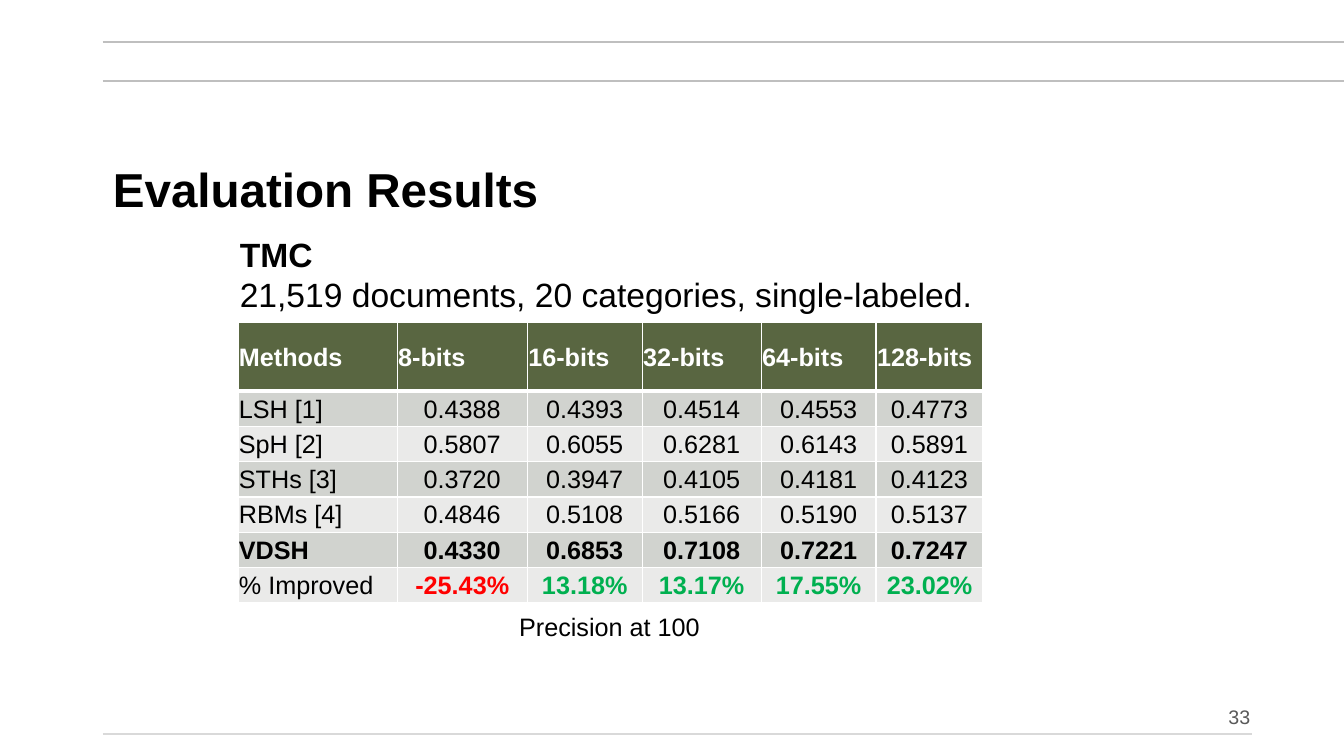
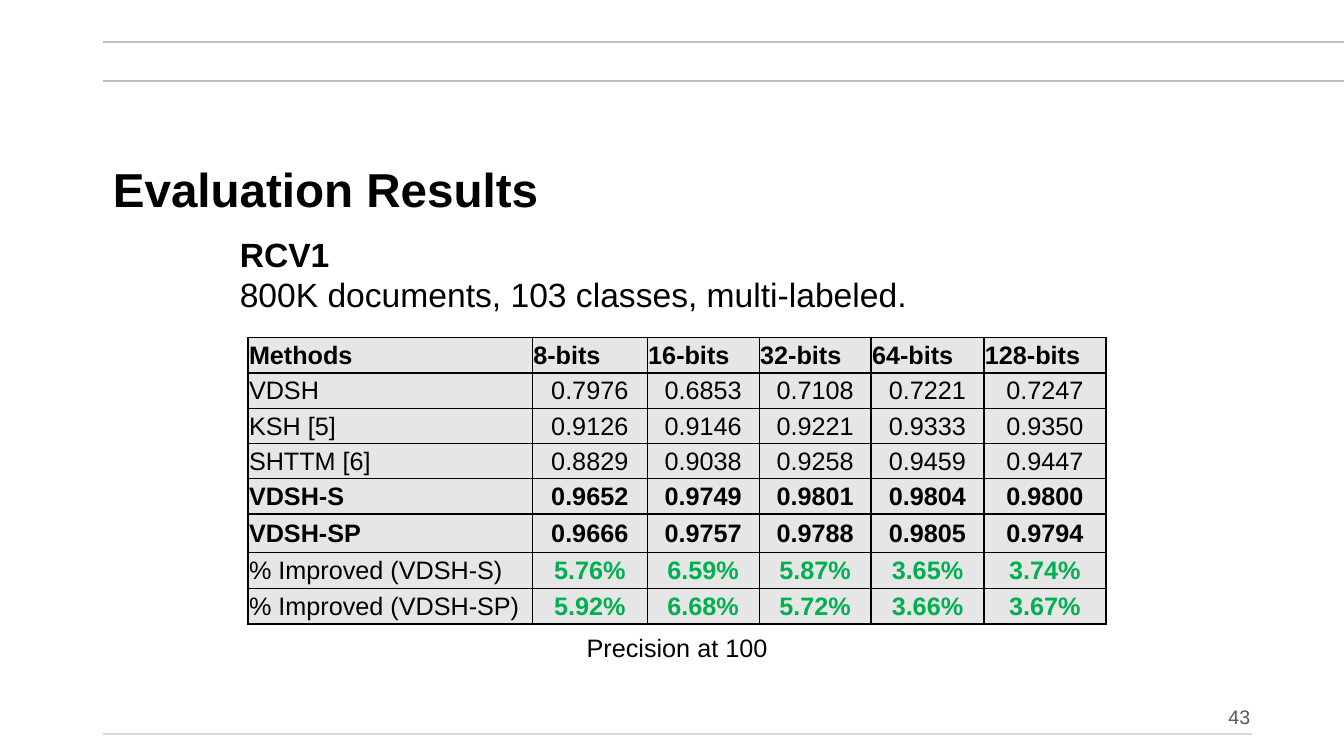
from dataclasses import dataclass

import lxml.etree
import pptx
import pptx.dml.color
import pptx.enum.shapes
import pptx.enum.text
import pptx.oxml.ns
import pptx.util

Inches = pptx.util.Inches
Pt = pptx.util.Pt
Align = pptx.enum.text.PP_ALIGN
Anchor = pptx.enum.text.MSO_ANCHOR
qn = pptx.oxml.ns.qn

FONT = "Arial"
BLACK, WHITE = "000000", "FFFFFF"
GAIN, LOSS = "00B050", "FF0000"
PAGE_GREY = "595959"
HEADER = ["Methods", "8-bits", "16-bits", "32-bits", "64-bits", "128-bits"]


@dataclass(frozen=True)
class Rule:
    y: float
    right: float
    color: str


@dataclass(frozen=True)
class TableStyle:
    header_fill: str
    header_text: str
    row_fills: tuple[str, ...]
    border: str
    header_rule: float


@dataclass(frozen=True)
class Method:
    name: str
    scores: str
    height: float = 0.35
    best: bool = False


@dataclass(frozen=True)
class Evaluation:
    page: int
    dataset: str
    summary: str
    summary_width: float
    caption_at: tuple[float, float]
    table_at: tuple[float, float]
    columns: tuple[float, ...]
    header_height: float
    style: TableStyle
    methods: tuple[Method, ...]


RULES = (
    Rule(0.8, 13.33, "BFBFBF"),
    Rule(0.42, 13.33, "BFBFBF"),
    Rule(7.28, 12.42, "D9D9D9"),
)
GREEN_BANDED = TableStyle("596641", WHITE, ("D1D3CF", "EAEAE9"), WHITE, 3)
GREY_GRID = TableStyle("E7E6E6", BLACK, ("E7E6E6",), BLACK, 1)

EVALUATIONS = (
    Evaluation(
        33, "TMC", "21,519 documents, 20 categories, single-labeled.", 7.54,
        (5.05, 6.02), (2.36, 3.2), (1.58, 1.29, 1.14, 1.18, 1.14, 1.06), 0.68,
        GREEN_BANDED,
        (
            Method("LSH [1]", "0.4388 0.4393 0.4514 0.4553 0.4773"),
            Method("SpH [2]", "0.5807 0.6055 0.6281 0.6143 0.5891"),
            Method("STHs [3]", "0.3720 0.3947 0.4105 0.4181 0.4123"),
            Method("RBMs [4]", "0.4846 0.5108 0.5166 0.5190 0.5137"),
            Method("VDSH", "0.4330 0.6853 0.7108 0.7221 0.7247", best=True),
            Method("% Improved", "-25.43% 13.18% 13.17% 17.55% 23.02%"),
        ),
    ),
    Evaluation(
        43, "RCV1", "800K documents, 103 classes, multi-labeled.", 6.89,
        (5.72, 6.22), (2.46, 3.35), (2.82, 1.14, 1.11, 1.11, 1.12, 1.21), 0.35,
        GREY_GRID,
        (
            Method("VDSH", "0.7976 0.6853 0.7108 0.7221 0.7247"),
            Method("KSH [5]", "0.9126 0.9146 0.9221 0.9333 0.9350"),
            Method("SHTTM [6]", "0.8829 0.9038 0.9258 0.9459 0.9447"),
            Method("VDSH-S", "0.9652 0.9749 0.9801 0.9804 0.9800", best=True),
            Method("VDSH-SP", "0.9666 0.9757 0.9788 0.9805 0.9794", 0.38, True),
            Method("% Improved (VDSH-S)", "5.76% 6.59% 5.87% 3.65% 3.74%", 0.36),
            Method("% Improved (VDSH-SP)", "5.92% 6.68% 5.72% 3.66% 3.67%"),
        ),
    ),
)


def rgb(color: str) -> pptx.dml.color.RGBColor:
    return pptx.dml.color.RGBColor.from_string(color)


def style_font(paragraph, size: float, color: str = BLACK, bold: bool = False) -> None:
    font = paragraph.font
    font.name, font.size, font.bold = FONT, Pt(size), bold
    font.color.rgb = rgb(color)


def place(shape, left: float, top: float, width: float, height: float) -> None:
    shape.left, shape.top = Inches(left), Inches(top)
    shape.width, shape.height = Inches(width), Inches(height)


def add_rule(slide, rule: Rule) -> None:
    line = slide.shapes.add_connector(
        pptx.enum.shapes.MSO_CONNECTOR.STRAIGHT,
        Inches(1.02), Inches(rule.y), Inches(rule.right), Inches(rule.y))
    line.line.color.rgb = rgb(rule.color)
    line.line.width = Pt(1.5)
    lxml.etree.SubElement(line._element.spPr, qn("a:effectLst"))


def add_title(slide, text: str) -> None:
    title = slide.shapes.title
    place(title, 1.02, 1.28, 11.39, 1.25)
    title.text_frame.text = text
    title.text_frame.auto_size = pptx.enum.text.MSO_AUTO_SIZE.NONE
    title.text_frame.vertical_anchor = Anchor.MIDDLE
    heading = title.text_frame.paragraphs[0]
    heading.alignment, heading.line_spacing = Align.LEFT, 0.9
    style_font(heading, 34, bold=True)


def add_page_number(slide, page: int) -> None:
    body = slide.placeholders[1]
    place(body, 8.26, 6.84, 4.24, 0.44)
    body.text_frame.text = str(page)
    body.text_frame.auto_size = pptx.enum.text.MSO_AUTO_SIZE.NONE
    body.text_frame.vertical_anchor = Anchor.BOTTOM
    number = body.text_frame.paragraphs[0]
    number.alignment, number.line_spacing = Align.RIGHT, 0.9
    number.space_before = Pt(0)
    properties = number._p.get_or_add_pPr()
    properties.set("marL", "0")
    properties.set("indent", "0")
    lxml.etree.SubElement(properties, qn("a:buNone"))
    style_font(number, 14, PAGE_GREY)


def add_text(slide, left: float, top: float, width: float, height: float,
             lines: list[str], size: float, bold_first: bool = False) -> None:
    box = slide.shapes.add_textbox(
        Inches(left), Inches(top), Inches(width), Inches(height))
    box.text_frame.word_wrap = False
    box.text_frame.text = "\n".join(lines)
    for index, paragraph in enumerate(box.text_frame.paragraphs):
        style_font(paragraph, size, bold=bold_first and index == 0)


def add_border(cell, side: str, color: str, width: float) -> None:
    line = lxml.etree.SubElement(
        cell._tc.get_or_add_tcPr(), qn(f"a:ln{side}"), w=str(Pt(width)))
    fill = lxml.etree.SubElement(line, qn("a:solidFill"))
    lxml.etree.SubElement(fill, qn("a:srgbClr"), val=color)


def fill_cell(cell, text: str, row: int, fill: str, color: str, bold: bool,
              alignment: Align, style: TableStyle) -> None:
    top = style.header_rule if row == 1 else 1
    bottom = style.header_rule if row == 0 else 1
    for side, width in (("L", 1), ("R", 1), ("T", top), ("B", bottom)):
        add_border(cell, side, style.border, width)
    cell.fill.solid()
    cell.fill.fore_color.rgb = rgb(fill)
    cell.margin_left = cell.margin_right = cell.margin_top = Inches(0.01)
    cell.margin_bottom = 0
    cell.vertical_anchor = Anchor.MIDDLE
    cell.text = text
    paragraph = cell.text_frame.paragraphs[0]
    paragraph.alignment = alignment
    style_font(paragraph, 18, color, bold)


def score_color(score: str) -> str:
    if not score.endswith("%"):
        return BLACK
    return LOSS if score.startswith("-") else GAIN


def add_results(slide, evaluation: Evaluation) -> None:
    style = evaluation.style
    heights = [evaluation.header_height, *(m.height for m in evaluation.methods)]
    left, top = evaluation.table_at
    table = slide.shapes.add_table(
        len(heights), len(HEADER), Inches(left), Inches(top),
        Inches(sum(evaluation.columns)), Inches(sum(heights))).table
    table.first_row = table.horz_banding = False
    for column, width in zip(table.columns, evaluation.columns):
        column.width = Inches(width)
    for row, height in zip(table.rows, heights):
        row.height = Inches(height)

    for column, label in enumerate(HEADER):
        fill_cell(table.cell(0, column), label, 0, style.header_fill,
                  style.header_text, True, Align.LEFT, style)
    for row, method in enumerate(evaluation.methods, start=1):
        fill = style.row_fills[(row - 1) % len(style.row_fills)]
        fill_cell(table.cell(row, 0), method.name, row, fill, BLACK,
                  method.best, Align.LEFT, style)
        for column, score in enumerate(method.scores.split(), start=1):
            fill_cell(table.cell(row, column), score, row, fill, score_color(score),
                      method.best or score.endswith("%"), Align.CENTER, style)


def add_evaluation_slide(deck, evaluation: Evaluation) -> None:
    slide = deck.slides.add_slide(deck.slide_layouts[1])
    for rule in RULES:
        add_rule(slide, rule)
    add_title(slide, "Evaluation Results")
    add_text(slide, 2.28, 2.27, evaluation.summary_width, 0.91,
             [evaluation.dataset, evaluation.summary], 24, bold_first=True)
    add_text(slide, *evaluation.caption_at, 2.01, 0.4, ["Precision at 100"], 18)
    add_results(slide, evaluation)
    add_page_number(slide, evaluation.page)


def main() -> None:
    deck = pptx.Presentation()
    deck.slide_width, deck.slide_height = Inches(13.33), Inches(7.5)
    for evaluation in EVALUATIONS:
        add_evaluation_slide(deck, evaluation)
    deck.save("out.pptx")


if __name__ == "__main__":
    main()
